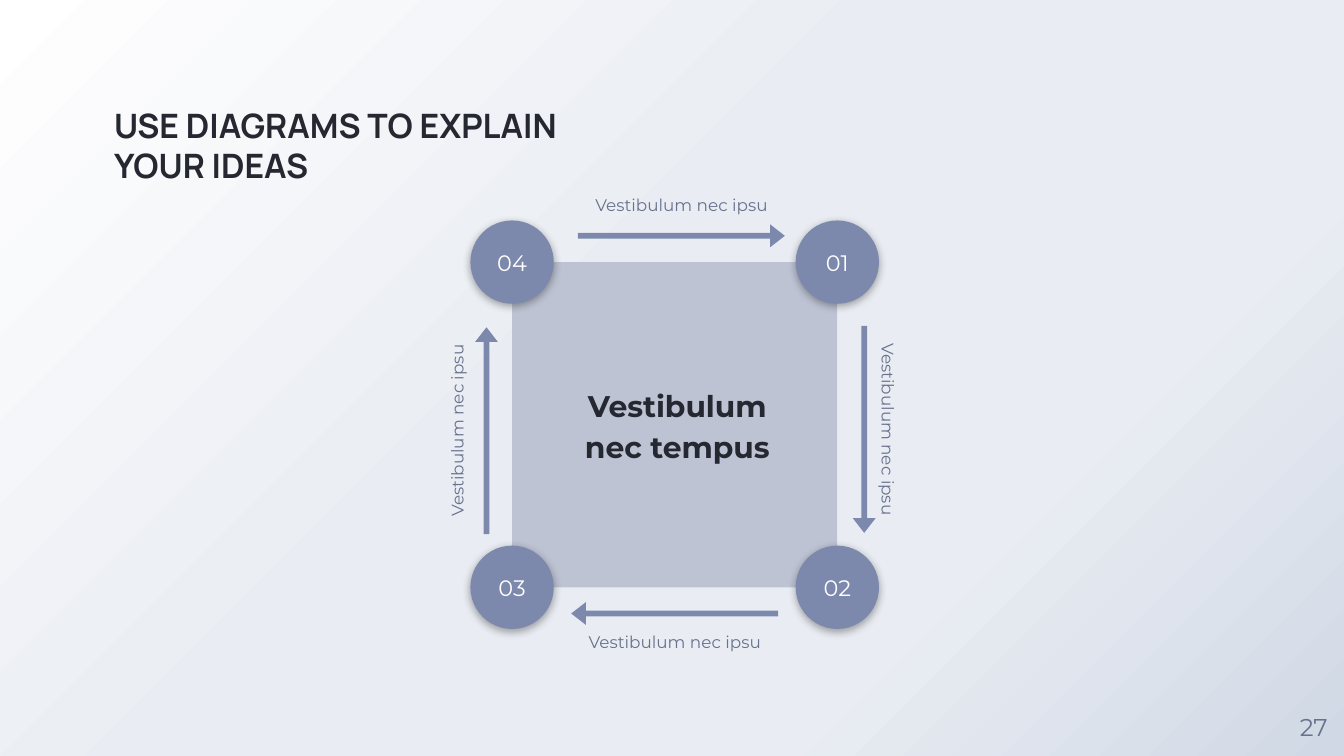
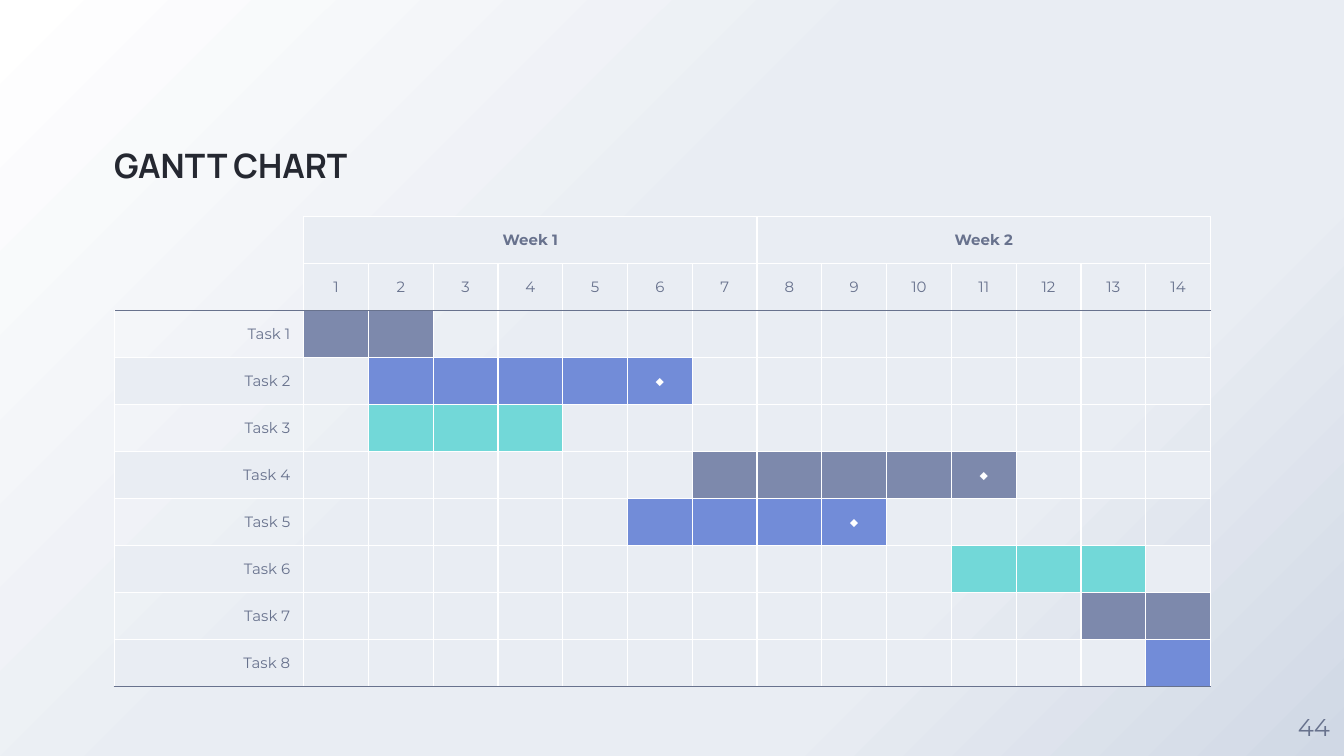
from dataclasses import dataclass

from lxml.etree import SubElement
from pptx import Presentation
from pptx.dml.color import RGBColor as RGB
from pptx.enum.shapes import MSO_SHAPE as SHAPE
from pptx.enum.text import MSO_ANCHOR as ANCHOR, PP_ALIGN as ALIGN
from pptx.oxml.ns import qn
from pptx.util import Inches, Pt


@dataclass(frozen=True)
class Theme:
    ink: str = "252831"
    muted: str = "68728D"
    slate: str = "7D89AC"
    blue: str = "728CD8"
    teal: str = "72D8D8"
    panel: str = "BDC3D3"
    mist: str = "E9EDF3"
    white: str = "FFFFFF"
    shadow: str = "212121"
    backdrop: tuple = ((0, "FFFFFF"), (44, "E9EDF3"), (72, "E9EDF3"), (100, "D0D8E5"))
    heading: str = "Manrope"
    body: str = "Montserrat"
    title_size: int = 18
    centre_size: int = 16
    page_size: int = 13
    number_size: int = 12
    label_size: int = 9
    cell_size: int = 8


THEME = Theme()


# ---------- Shared helpers ----------
def apply(target, values):
    for name, value in values.items():
        setattr(target, name, value)


def add_color(parent, color):
    return SubElement(SubElement(parent, qn("a:solidFill")), qn("a:srgbClr"), val=color)


def write(holder, words, size, color, font=THEME.body, bold=False, align=ALIGN.CENTER,
          spacing=None):
    """Put one formatted line of text in a text frame."""
    paragraph = holder.paragraphs[0]
    apply(paragraph, {"alignment": align, "line_spacing": spacing})
    run = paragraph.add_run()
    run.text = words
    apply(run.font, {"name": font, "size": Pt(size), "bold": bold})
    run.font.color.rgb = RGB.from_string(color)


def set_frame(frame, inset, anchor):
    margins = {f"margin_{side}": Inches(inset) for side in ("left", "top", "right", "bottom")}
    apply(frame, {"word_wrap": True, "vertical_anchor": anchor, **margins})


def add_text(shapes, box, words, size, color, inset=0.1, anchor=ANCHOR.TOP, **format_values):
    text = shapes.add_textbox(*map(Inches, box))
    set_frame(text.text_frame, inset, anchor)
    write(text.text_frame, words, size, color, **format_values)
    return text


def add_solid(shapes, preset, box, color):
    solid = shapes.add_shape(preset, *map(Inches, box))
    solid.shadow.inherit = False
    solid.fill.solid()
    solid.fill.fore_color.rgb = RGB.from_string(color)
    solid.line.fill.background()
    return solid


def set_backdrop(master):
    """Diagonal gradient shared by every slide."""
    fill = master.background.fill
    fill.gradient()
    fill.gradient_angle = 315
    stops = master.element.find(".//" + qn("a:gsLst"))
    for stop in list(stops):
        stops.remove(stop)
    for percent, color in THEME.backdrop:
        stop = SubElement(stops, qn("a:gs"), pos=str(percent * 1000))
        SubElement(stop, qn("a:srgbClr"), val=color)


def add_slide(deck, title, page):
    """Blank slide with the common title and page number."""
    slide = deck.slides.add_slide(deck.slide_layouts[6])
    add_text(slide.shapes, (0.85, 0.44, 3.92, 0.94), title, THEME.title_size, THEME.ink,
             inset=0, anchor=ANCHOR.BOTTOM, font=THEME.heading, bold=True, align=ALIGN.LEFT)
    add_text(slide.shapes, (9.55, 5.18, 0.45, 0.45), page, THEME.page_size, THEME.muted,
             inset=0, anchor=ANCHOR.MIDDLE)
    return slide


# ---------- Cycle diagram ----------
# number, corner (x, y), arrow turn, label turn, arrow offset, label offset
STEPS = (
    ("01", (1, 0), 90, 90, (1.85, 1.16), (2.03, 1.05)),
    ("02", (1, 1), 180, 0, (0.44, 2.53), (0.45, 2.64)),
    ("03", (0, 1), 270, 270, (-0.96, 1.17), (-1.16, 1.06)),
    ("04", (0, 0), 0, 0, (0.49, -0.28), (0.5, -0.61)),
)


def add_drop_shadow(shape):
    effects = shape.element.spPr.find(qn("a:effectLst"))
    shadow = SubElement(effects, qn("a:outerShdw"), blurRad=str(Pt(4.5)), dist=str(Pt(1.5)),
                        dir="5400000", algn="bl", rotWithShape="0")
    color = SubElement(shadow, qn("a:srgbClr"), val=THEME.shadow)
    SubElement(color, qn("a:alpha"), val="38000")


def draw_cycle(slide, left, top, side):
    # Central square and its caption
    add_solid(slide.shapes, SHAPE.RECTANGLE, (left, top, side, side), THEME.panel)
    add_text(slide.shapes, (left + 0.31, top + 0.35, 1.84, 1.7), "Vestibulum nec tempus",
             THEME.centre_size, THEME.ink, anchor=ANCHOR.MIDDLE, bold=True, spacing=1.15)

    # Each step: label, arrow and a circle centred on a corner
    diameter = 0.62
    for number, (right, low), arrow_turn, label_turn, arrow_at, label_at in STEPS:
        step = slide.shapes.add_group_shape().shapes
        label = add_text(step, (left + label_at[0], top + label_at[1], 1.52, 0.39),
                         "Vestibulum nec ipsu", THEME.label_size, THEME.muted, spacing=1.15)
        label.rotation = label_turn

        arrow = add_solid(step, SHAPE.RIGHT_ARROW,
                          (left + arrow_at[0], top + arrow_at[1], 1.54, 0.17), THEME.slate)
        arrow.rotation = arrow_turn
        arrow.adjustments[0], arrow.adjustments[1] = 0.255, 0.643

        circle = add_solid(step, SHAPE.OVAL,
                           (left + right * side - diameter / 2, top + low * side - diameter / 2,
                            diameter, diameter), THEME.slate)
        add_drop_shadow(circle)
        set_frame(circle.text_frame, 0.1, ANCHOR.MIDDLE)
        write(circle.text_frame, number, THEME.number_size, THEME.white)


# ---------- Gantt chart ----------
DAYS = 14
HEADER_ROWS = 2
NO_STYLE = "{2D5ABB26-0587-4C30-8999-92F81FD0307C}"
# first day, last day, colour, ends with a milestone
TASKS = (
    (1, 2, THEME.slate, False),
    (2, 6, THEME.blue, True),
    (2, 4, THEME.teal, False),
    (7, 11, THEME.slate, True),
    (6, 9, THEME.blue, True),
    (11, 13, THEME.teal, False),
    (13, 14, THEME.slate, False),
    (14, 14, THEME.blue, False),
)


def cell_borders(row, column):
    """Border colours by side; the header corner stays open."""
    corner = row < HEADER_ROWS and column == 0
    borders = {"R": THEME.white} if corner else dict.fromkeys("LRTB", THEME.white)
    if row == HEADER_ROWS:
        borders["T"] = THEME.muted
    if row in (HEADER_ROWS - 1, HEADER_ROWS + len(TASKS) - 1):
        borders["B"] = THEME.muted
    return borders


def cell_content(row, column):
    """Words, text format and fill colour of one cell."""
    if row < HEADER_ROWS:
        if column == 0:
            return "", {}, None
        if row == 0:
            week, day = divmod(column - 1, 7)
            return ("" if day else f"Week {week + 1}"), {"bold": True}, THEME.mist
        return str(column), {}, THEME.mist
    task = row - HEADER_ROWS + 1
    first, last, color, milestone = TASKS[task - 1]
    fill = THEME.mist if task % 2 == 0 else None
    if column == 0:
        return f"Task {task}", {"align": ALIGN.RIGHT}, fill
    if first <= column <= last:
        mark = "◆" if milestone and column == last else ""
        return mark, {"color": THEME.white}, color
    return "", {}, fill


def format_cell(cell, row, column):
    words, text_format, fill = cell_content(row, column)
    apply(cell, {"vertical_anchor": ANCHOR.MIDDLE,
                 "margin_left": Inches(0.1), "margin_right": Inches(0.1),
                 "margin_top": Inches(0.05), "margin_bottom": Inches(0.05)})
    if words:
        write(cell.text_frame, words, THEME.cell_size,
              **{"color": THEME.muted, **text_format})
    else:
        SubElement(cell.text_frame.paragraphs[0]._p, qn("a:endParaRPr"),
                   sz=str(THEME.cell_size * 100))

    # Borders come before the fill
    properties = cell._tc.get_or_add_tcPr()
    borders = cell_borders(row, column)
    for side in "LRTB":
        if side in borders:
            line = SubElement(properties, qn(f"a:ln{side}"), w=str(Pt(0.75)))
            add_color(line, borders[side])
    if fill:
        cell.fill.solid()
        cell.fill.fore_color.rgb = RGB.from_string(fill)
    else:
        cell.fill.background()


def draw_gantt(slide, left, top, width, height):
    row_count = HEADER_ROWS + len(TASKS)
    frame = slide.shapes.add_table(row_count, DAYS + 1,
                                   *map(Inches, (left, top, width, height)))
    gantt = frame.table
    apply(gantt, {"first_row": False, "horz_banding": False})
    gantt._tbl.tblPr.find(qn("a:tableStyleId")).text = NO_STYLE

    # Name column, then equal days
    name_width = 1.41
    for index, column in enumerate(gantt.columns):
        column.width = Inches((width - name_width) / DAYS if index else name_width)
    for row in gantt.rows:
        row.height = Inches(height / row_count)

    for row in range(row_count):
        for column in range(DAYS + 1):
            format_cell(gantt.cell(row, column), row, column)
    for first_day in (1, 8):
        gantt.cell(0, first_day).merge(gantt.cell(0, first_day + 6))


def main():
    deck = Presentation()
    # Widescreen, 16:9
    apply(deck, {"slide_width": Inches(10), "slide_height": Inches(10 * 9 / 16)})
    set_backdrop(deck.slide_master)

    cycle = add_slide(deck, "USE DIAGRAMS TO EXPLAIN YOUR IDEAS", "27")
    draw_cycle(cycle, 3.81, 1.95, 2.42)

    schedule = add_slide(deck, "GANTT CHART", "44")
    draw_gantt(schedule, 0.85, 1.61, 8.16, 3.5)

    deck.save("out.pptx")


if __name__ == "__main__":
    main()
